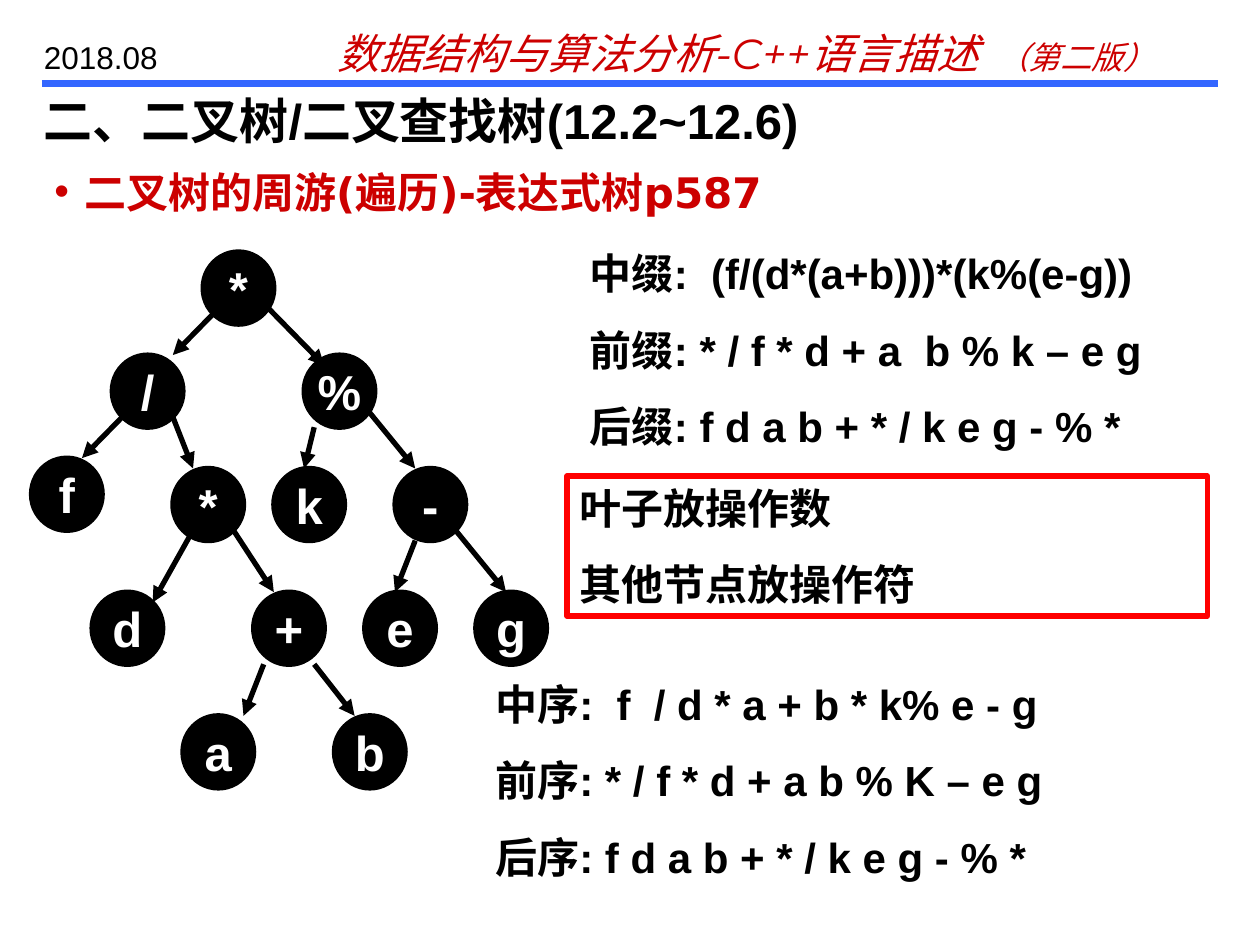
"""Builds a slide on traversing an expression tree."""
from dataclasses import dataclass

from lxml.etree import SubElement
from pptx import Presentation
from pptx.dml.color import RGBColor
from pptx.enum.shapes import MSO_CONNECTOR, MSO_SHAPE
from pptx.enum.text import MSO_ANCHOR, PP_ALIGN
from pptx.oxml.ns import qn
from pptx.util import Pt


@dataclass(frozen=True)
class Theme:
    black: RGBColor = RGBColor(0, 0, 0)
    white: RGBColor = RGBColor(255, 255, 255)
    crimson: RGBColor = RGBColor(0xCC, 0, 0)
    red: RGBColor = RGBColor(255, 0, 0)
    blue: RGBColor = RGBColor(0x33, 0x66, 0xFF)
    title: int = 28
    body: int = 24
    small: int = 18
    font: str = "Arial"
    header_font: str = "Montserrat"
    bullet_font: str = "DejaVu Sans"


theme = Theme()


def write(box, text, size=theme.body, color=theme.black, font=theme.font, bold=True,
          italic=False, align=PP_ALIGN.LEFT, before=0, wrap=True,
          anchor=MSO_ANCHOR.TOP, append=False):
    frame = box.text_frame
    frame.word_wrap = wrap
    frame.vertical_anchor = anchor
    for index, line in enumerate(text.split("\n")):
        para = frame.add_paragraph() if index else frame.paragraphs[0]
        if not append:
            para.alignment = align
            para.space_before = Pt(before)
        span = para.add_run()
        span.text = line
        span.font.size = Pt(size)
        span.font.name = font
        span.font.bold = bold
        span.font.italic = italic
        span.font.color.rgb = color


def draw_line(start, end, color, width, arrow=False):
    line = page.shapes.add_connector(
        MSO_CONNECTOR.STRAIGHT, *(Pt(value) for value in (*start, *end)))
    line.line.color.rgb = color
    line.line.width = Pt(width)
    if arrow:
        SubElement(line.line._get_or_add_ln(), qn("a:tailEnd"), type="triangle")
    SubElement(line._element.spPr, qn("a:effectLst"))


deck = Presentation()
deck.slide_width, deck.slide_height = Pt(720), Pt(540)
page = deck.slides.add_slide(deck.slide_layouts[6])

draw_line((24, 48), (696, 48), theme.blue, 4)

header = page.shapes.add_textbox(Pt(186), Pt(12), Pt(504), Pt(36))
header_style = dict(color=theme.crimson, font=theme.header_font, bold=False, italic=True)
write(header, "数据结构与算法分析-C++语言描述  ", **header_style)
write(header, "（第二版）", size=theme.small, append=True, **header_style)

date = page.shapes.add_textbox(Pt(18), Pt(18), Pt(102), Pt(29))
write(date, "2018.08", size=theme.small, bold=False, before=11.2)

topic = page.shapes.add_textbox(Pt(24), Pt(91.5), Pt(696), Pt(36))
write(topic, "二叉树的周游(遍历)-表达式树p587", color=theme.crimson, font=theme.bullet_font)
layout = topic.text_frame.paragraphs[0]._p.get_or_add_pPr()
layout.set("marL", str(Pt(17)))
layout.set("indent", str(-Pt(17)))
SubElement(SubElement(layout, qn("a:buClr")), qn("a:srgbClr"), val=str(theme.crimson))
SubElement(layout, qn("a:buFont"), typeface=theme.font)
SubElement(layout, qn("a:buChar"), char="•")

title = page.shapes.add_textbox(Pt(18), Pt(48), Pt(702), Pt(36))
write(title, "二、二叉树/二叉查找树(12.2~12.6)", size=theme.title)

tree_left, tree_top = 18, 144
step_x, step_y = 5.77, 5.89
node_steps = 7
nodes = [
    ("*", 17, 0), ("/", 8, 10), ("%", 27, 10), ("f", 0, 20), ("*", 14, 21),
    ("d", 6, 33), ("+", 22, 33), ("a", 15, 45), ("b", 30, 45), ("k", 24, 21),
    ("-", 36, 21), ("e", 33, 33), ("g", 44, 33),
]
for label, column, row in nodes:
    node = page.shapes.add_shape(
        MSO_SHAPE.OVAL, Pt(tree_left + column * step_x), Pt(tree_top + row * step_y),
        Pt(node_steps * step_x), Pt(node_steps * step_y))
    node.shadow.inherit = False
    node.fill.solid()
    node.fill.fore_color.rgb = theme.black
    node.line.color.rgb = theme.black
    node.line.width = Pt(3)
    write(node, label, size=theme.title, color=theme.white, align=PP_ALIGN.CENTER,
          wrap=False, anchor=MSO_ANCHOR.MIDDLE)

branches = [
    ((18, 6), (14, 10)), ((23, 5), (29, 11)), ((9, 16), (5, 20)),
    ((14, 16), (16, 21)), ((28, 17), (27, 21)), ((33, 15), (38, 21)),
    ((16, 27), (12, 34)), ((20, 27), (24, 33)), ((23, 40), (21, 45)),
    ((28, 40), (32, 45)), ((38, 28), (36, 33)), ((42, 27), (47, 33)),
]
for branch in branches:
    start, end = ((tree_left + column * step_x, tree_top + row * step_y)
                  for column, row in branch)
    draw_line(start, end, theme.black, 3, arrow=True)

notations = page.shapes.add_textbox(Pt(330), Pt(138), Pt(348), Pt(124))
write(notations, "中缀:  (f/(d*(a+b)))*(k%(e-g))\n"
                 "前缀: * / f * d + a  b % k – e g\n"
                 "后缀: f d a b + * / k e g - % *", before=15)

traversals = page.shapes.add_textbox(Pt(276), Pt(384), Pt(426), Pt(124))
write(traversals, "中序:  f  / d * a + b * k% e - g\n"
                  "前序: * / f * d + a b % K – e g\n"
                  "后序: f d a b + * / k e g - % *", before=15)

rule = page.shapes.add_shape(MSO_SHAPE.RECTANGLE, Pt(324), Pt(272), Pt(366), Pt(80))
rule.shadow.inherit = False
rule.fill.background()
rule.line.color.rgb = theme.red
rule.line.width = Pt(3)
write(rule, "叶子放操作数\n其他节点放操作符", before=15)

deck.save("out.pptx")
